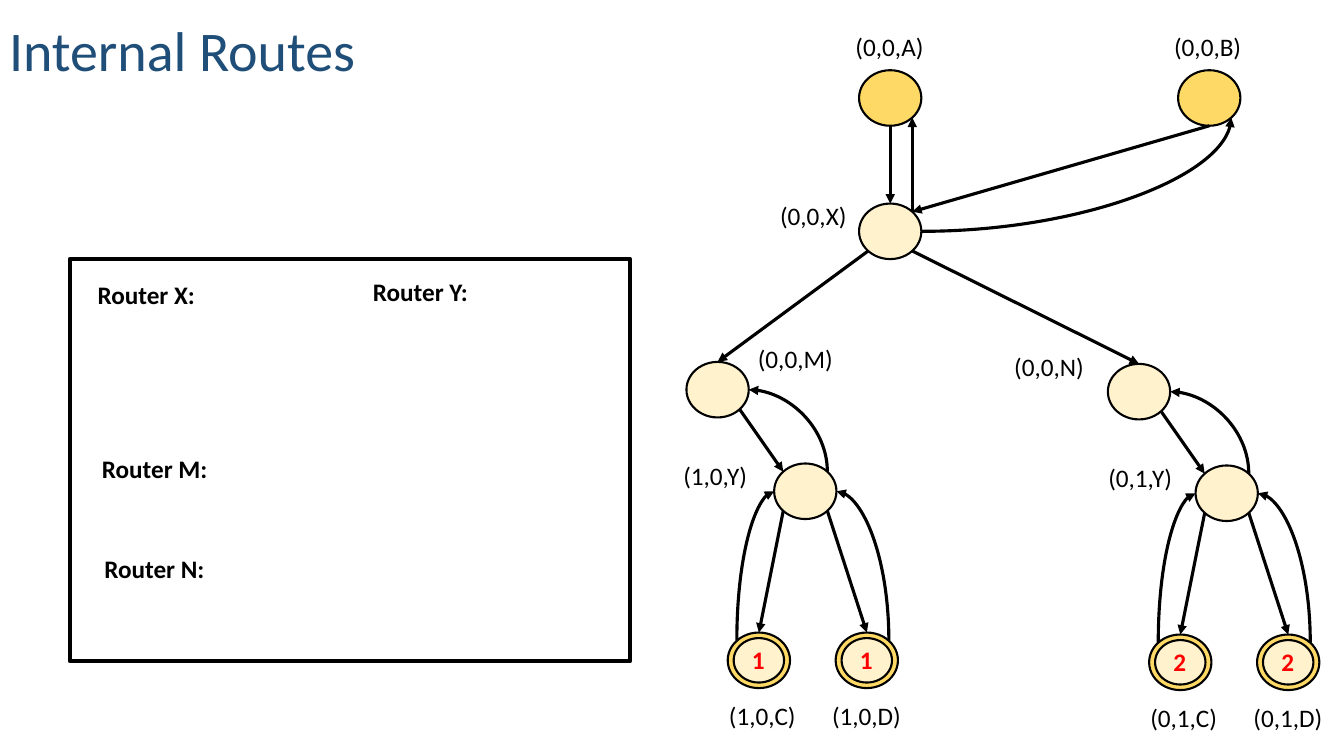
from dataclasses import dataclass
from math import cos, radians, sin

from lxml.etree import SubElement
from pptx import Presentation
from pptx.dml.color import RGBColor
from pptx.enum.shapes import MSO_CONNECTOR, MSO_SHAPE
from pptx.enum.text import MSO_ANCHOR, MSO_AUTO_SIZE
from pptx.oxml.ns import qn
from pptx.util import Cm, Pt


@dataclass(frozen=True)
class Theme:
    font: str = "Calibri"
    title_size: int = 40
    label_size: int = 18
    outline: float = 1.5
    arrow: float = 2.25
    frame: int = 3
    title: str = "1F4E79"
    ink: str = "000000"
    host: str = "FFD966"
    router: str = "FFF2CC"
    mark: str = "FF0000"


SITES = {"right": 0, "bottom_right": 45, "bottom": 90, "bottom_left": 135,
         "left": 180, "top_left": 225, "top": 270, "top_right": 315}
NODE_SIZE = (1.57, 1.4)
INNER_SIZE = (1.27, 1.12)
LABEL_WIDTH = 2.26
LABEL_HEIGHT = 1.02


@dataclass(frozen=True)
class Node:
    left: float
    top: float

    def site(self, name):
        width, height = NODE_SIZE
        angle = radians(SITES[name])
        return (self.left + width / 2 * (1 + cos(angle)),
                self.top + height / 2 * (1 + sin(angle)))


def assign(target, values):
    for name, value in values.items():
        setattr(target, name, value)


class Diagram:
    def __init__(self, slide, theme):
        self.slide = slide
        self.theme = theme
        self.shapes = slide.shapes

    def start_group(self):
        self.shapes = self.slide.shapes.add_group_shape().shapes

    def end_group(self):
        self.shapes = self.slide.shapes

    def outline(self, shape, width):
        shape.line.color.rgb = RGBColor.from_string(self.theme.ink)
        shape.line.width = Pt(width)

    def shape(self, kind, left, top, size, fill, width):
        shape = self.shapes.add_shape(kind, *map(Cm, (left, top, *size)))
        shape.shadow.inherit = False
        if fill:
            shape.fill.solid()
            shape.fill.fore_color.rgb = RGBColor.from_string(fill)
        else:
            shape.fill.background()
        self.outline(shape, width)

    def node(self, left, top, fill):
        self.shape(MSO_SHAPE.OVAL, left, top, NODE_SIZE, fill, self.theme.outline)
        return Node(left, top)

    def ring(self, left, top, mark):
        self.start_group()
        node = self.node(left, top, self.theme.host)
        inset = [(outer - inner) / 2 for outer, inner in zip(NODE_SIZE, INNER_SIZE)]
        self.shape(MSO_SHAPE.OVAL, left + inset[0], top + inset[1], INNER_SIZE,
                   self.theme.router, self.theme.outline)
        self.end_group()
        self.text(mark, left + 0.36, top + 0.16, 0.84, color=self.theme.mark, bold=True)
        return node

    def text(self, words, left, top, width=LABEL_WIDTH, height=LABEL_HEIGHT, points=None,
             color=None, bold=False, frame_format=None):
        box = self.shapes.add_textbox(*map(Cm, (left, top, width, height)))
        assign(box.text_frame, frame_format or {
            "word_wrap": False, "auto_size": MSO_AUTO_SIZE.SHAPE_TO_FIT_TEXT})
        paragraph = box.text_frame.paragraphs[0]
        run = paragraph.add_run()
        run.text = words
        assign(run.font, {"name": self.theme.font, "bold": bold,
                          "size": Pt(points or self.theme.label_size)})
        run.font.color.rgb = RGBColor.from_string(color or self.theme.ink)
        return paragraph

    def connector(self, kind, begin, end):
        connector = self.shapes.add_connector(kind, *map(Cm, (*begin, *end)))
        self.outline(connector, self.theme.arrow)
        properties = connector.element.spPr
        SubElement(properties.find(qn("a:ln")), qn("a:tailEnd"), type="triangle")
        SubElement(properties, qn("a:effectLst"))
        return properties

    def arrow(self, begin, end):
        self.connector(MSO_CONNECTOR.STRAIGHT, begin, end)

    def curve(self, begin, end, upright=True):
        turn = 0
        if upright:
            across, down = end[0] - begin[0], end[1] - begin[1]
            middle = (begin[0] + across / 2, begin[1] + down / 2)
            sign = 1 if across > 0 else -1
            turn = 90 if across > 0 else 270
            shift = (-sign * down / 2, sign * across / 2)
            begin = (middle[0] + shift[0], middle[1] + shift[1])
            end = (middle[0] - shift[0], middle[1] - shift[1])
        properties = self.connector(MSO_CONNECTOR.CURVE, begin, end)
        properties.find(qn("a:prstGeom")).set("prst", "curvedConnector2")
        if turn:
            properties.find(qn("a:xfrm")).set("rot", str(turn * 60000))

    def branch(self, shift, drop, prefix, mark, label_left):
        top_router = self.node(17.3 + shift, 9.12 + drop, self.theme.router)
        router = self.node(19.51 + shift, 11.68 + drop, self.theme.router)
        self.arrow(top_router.site("bottom_right"), router.site("top_left"))
        self.curve(router.site("top_right"), top_router.site("right"))
        self.text(f"({prefix},Y)", label_left, 11.48 + drop)
        for letter, left, text_left, side in (("C", 18.34, 18.12, "left"),
                                              ("D", 21.06, 20.72, "right")):
            host = self.ring(left + shift, 15.94 + drop, mark)
            self.arrow(router.site(f"bottom_{side}"), host.site("top"))
            self.curve(host.site(f"top_{side}"), router.site(side))
            self.text(f"({prefix},{letter})", text_left + shift, 17.52 + drop)
        return top_router


def main():
    presentation = Presentation()
    assign(presentation, {"slide_width": Cm(33.87), "slide_height": Cm(19.05)})
    theme = Theme()
    diagram = Diagram(presentation.slides.add_slide(presentation.slide_layouts[6]), theme)

    title = diagram.text("Internal Routes", -0.02, -0.13, 16.69, 2.36, theme.title_size,
                         theme.title, frame_format={"word_wrap": True,
                                                    "vertical_anchor": MSO_ANCHOR.BOTTOM})
    title.line_spacing = 0.9

    host_a = diagram.node(21.65, 1.77, theme.host)
    host_b = diagram.node(29.69, 1.77, theme.host)
    router_x = diagram.node(21.65, 5.13, theme.router)
    router_m = diagram.branch(0, 0, "1,0", "1", 16.97)
    router_n = diagram.branch(10.62, 0.05, "0,1", "2", 27.68)

    for begin, end in (
        (host_a.site("bottom"), router_x.site("top")),
        (router_x.site("top_right"), host_a.site("bottom_right")),
        (host_b.site("bottom"), router_x.site("top_right")),
        (router_x.site("bottom_left"), router_m.site("top")),
        (router_x.site("bottom_right"), router_n.site("top")),
    ):
        diagram.arrow(begin, end)
    diagram.curve(router_x.site("right"), host_b.site("bottom_right"), upright=False)

    for letter, left, top, width in (("A", 21.31, 0.66, 2.26), ("B", 29.34, 0.66, 2.26),
                                     ("X", 19.41, 4.93, 2.26), ("M", 18.85, 8.53, 2.45),
                                     ("N", 25.31, 8.72, 2.3)):
        diagram.text(f"(0,0,{letter})", left, top, width)

    diagram.start_group()
    diagram.shape(MSO_SHAPE.RECTANGLE, 1.76, 6.53, (14.12, 10.13), None, theme.frame)
    for letter, left, top, width in (("X", 2.21, 6.91, 3.05), ("Y", 9.15, 6.83, 3.05),
                                     ("M", 2.32, 11.3, 3.25), ("N", 2.38, 13.82, 3.05)):
        diagram.text(f"Router {letter}:", left, top, width, bold=True)
    diagram.end_group()

    presentation.save("out.pptx")


if __name__ == "__main__":
    main()
